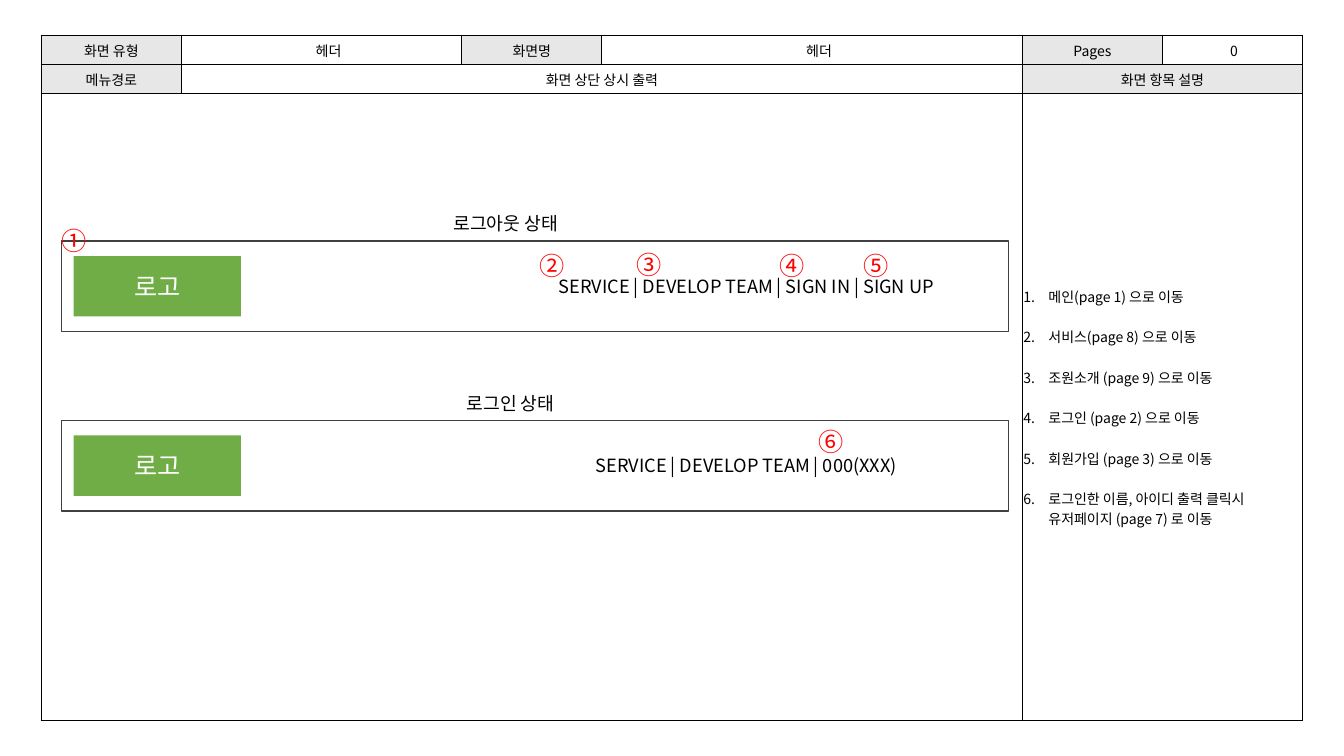
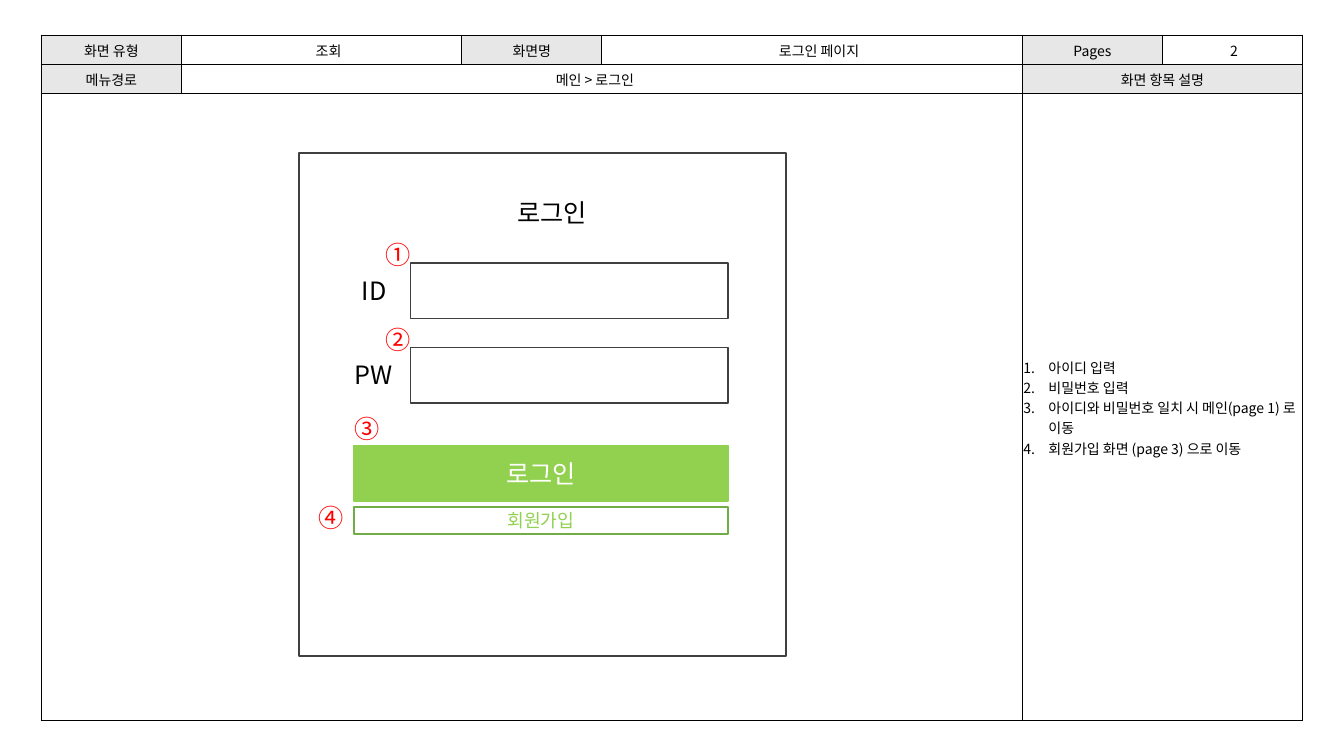
from lxml import etree
from pptx import Presentation
from pptx.dml.color import RGBColor
from pptx.enum.shapes import MSO_SHAPE
from pptx.enum.text import MSO_ANCHOR, MSO_AUTO_SIZE, PP_ALIGN
from pptx.oxml.ns import qn
from pptx.util import Inches, Pt

RECTANGLE = MSO_SHAPE.RECTANGLE
MIDDLE = MSO_ANCHOR.MIDDLE
FIT_TEXT = MSO_AUTO_SIZE.SHAPE_TO_FIT_TEXT
LEFT, CENTER = PP_ALIGN.LEFT, PP_ALIGN.CENTER

FONT = "Noto Sans CJK KR"
COLORS = {
    "black": "000000",
    "white": "FFFFFF",
    "label": "E7E7E7",
    "outline": "404040",
    "green": "70AD47",
    "lime": "92D050",
    "red": "FF0000",
}
COLUMN_WIDTHS = [1.39, 2.78, 1.39, 4.17, 1.39, 1.39]
ROW_HEIGHTS = [0.29, 0.29, 6.22]
BADGES = "①②③④⑤⑥"


def color(name):
    return RGBColor.from_string(COLORS[name])


def write_text(paragraph, text, size=18, color_name="black", align=LEFT):
    paragraph.alignment = align
    run = paragraph.add_run()
    run.text = text
    run.font.size = Pt(size)
    run.font.color.rgb = color(color_name)
    run.font.name = FONT
    properties = run.font._element
    etree.SubElement(properties, qn("a:ea"), typeface=FONT)


def add_label(slide, text, left, top, width, height=0.4, wrap=False, **text_format):
    label = slide.shapes.add_textbox(Inches(left), Inches(top), Inches(width), Inches(height))
    frame = label.text_frame
    frame.word_wrap = wrap
    frame.auto_size = FIT_TEXT
    write_text(frame.paragraphs[0], text, **text_format)


def add_badge(slide, number, left, top):
    add_label(slide, BADGES[number - 1], left, top, 0.45, color_name="red")


def add_box(slide, left, top, width, height, text="", fill=None, line=None,
            line_width=1, **text_format):
    box = slide.shapes.add_shape(
        RECTANGLE, Inches(left), Inches(top), Inches(width), Inches(height))
    box.shadow.inherit = False
    if fill:
        box.fill.solid()
        box.fill.fore_color.rgb = color(fill)
    else:
        box.fill.background()
    if line:
        box.line.color.rgb = color(line)
        box.line.width = Pt(line_width)
    else:
        box.line.fill.background()
    if text:
        box.text_frame.vertical_anchor = MIDDLE
        write_text(box.text_frame.paragraphs[0], text, align=CENTER, **text_format)


def add_borders(cell):
    properties = cell._tc.get_or_add_tcPr()
    for side in ("lnL", "lnR", "lnT", "lnB"):
        border = etree.SubElement(properties, qn(f"a:{side}"), w=str(Pt(1)))
        fill = etree.SubElement(border, qn("a:solidFill"))
        etree.SubElement(fill, qn("a:srgbClr"), val=COLORS["black"])


def format_cell(cell, fill):
    cell.vertical_anchor = MIDDLE
    cell.margin_left = cell.margin_right = cell.margin_top = Inches(0.01)
    cell.margin_bottom = 0
    cell.fill.solid()
    cell.fill.fore_color.rgb = color(fill)


def write_numbered_list(cell, items, gap):
    frame = cell.text_frame
    for index, item in enumerate(items):
        paragraph = frame.add_paragraph() if index else frame.paragraphs[0]
        write_text(paragraph, item, size=10)
        if index < len(items) - 1:
            paragraph.space_after = Pt(gap)
        properties = paragraph._p.get_or_add_pPr()
        properties.set("marL", str(Inches(0.25)))
        properties.set("indent", str(Inches(-0.25)))
        etree.SubElement(properties, qn("a:buFont"), typeface=FONT)
        etree.SubElement(properties, qn("a:buAutoNum"), type="arabicPeriod")


def add_specification(slide, kind, name, page, menu, items, gap=0):
    table = slide.shapes.add_table(
        len(ROW_HEIGHTS), len(COLUMN_WIDTHS), Inches(0.41), Inches(0.35),
        Inches(sum(COLUMN_WIDTHS)), Inches(sum(ROW_HEIGHTS))).table
    table.first_row = False
    table.horz_banding = False
    for column, width in zip(table.columns, COLUMN_WIDTHS):
        column.width = Inches(width)
    for row, height in zip(table.rows, ROW_HEIGHTS):
        row.height = Inches(height)
    for cell in table.iter_cells():
        add_borders(cell)
        format_cell(cell, "white")
    for row, first, last in ((1, 1, 3), (1, 4, 5), (2, 0, 3), (2, 4, 5)):
        table.cell(row, first).merge(table.cell(row, last))

    labels = {(0, 0): "화면 유형", (0, 2): "화면명", (0, 4): "Pages",
              (1, 0): "메뉴경로", (1, 4): "화면 항목 설명"}
    values = {(0, 1): kind, (0, 3): name, (0, 5): page, (1, 1): menu}
    for position, text in (labels | values).items():
        cell = table.cell(*position)
        write_text(cell.text_frame.paragraphs[0], text, size=10, align=CENTER)
        if position in labels:
            format_cell(cell, "label")
    write_numbered_list(table.cell(2, 4), items, gap)


def add_header_state(slide, top, caption, caption_left, caption_width, menu):
    add_box(slide, 0.61, top, 9.39, 0.9, line="outline")
    add_box(slide, 0.73, top + 0.15, 1.66, 0.6, "로고", fill="green", color_name="white")
    add_label(slide, menu, 5.06, top + 0.29, 4.72, 0.32, wrap=True, size=13, align=CENTER)
    add_label(slide, caption, caption_left, top - 0.33, caption_width, 0.32, size=13)


def add_field(slide, number, name, name_left, name_width, top):
    add_box(slide, 4.07, top, 3.15, 0.55, line="outline")
    add_label(slide, name, name_left, top + 0.07, name_width)
    add_badge(slide, number, 3.72, top - 0.28)


def build_header_slide(slide):
    add_specification(slide, "\u3000헤더", "\u3000헤더", " 0", "화면 상단 상시 출력", [
        "메인(page 1) 으로 이동",
        "서비스(page 8) 으로 이동",
        "조원소개 (page 9) 으로 이동",
        "로그인 (page 2) 으로 이동",
        "회원가입 (page 3) 으로 이동",
        "로그인한 이름, 아이디 출력 클릭시 유저페이지 (page 7) 로 이동",
    ], gap=14.5)
    add_header_state(slide, 2.39, "로그아웃 상태", 4.4, 1.36,
                     "SERVICE | DEVELOP TEAM | SIGN IN | SIGN UP ")
    add_header_state(slide, 4.17, "로그인 상태", 4.53, 1.18,
                     "SERVICE | DEVELOP TEAM | 000(XXX) ")
    badge_positions = [(0.51, 2.19), (5.25, 2.43), (6.21, 2.42),
                       (7.63, 2.43), (8.47, 2.43), (8.02, 4.18)]
    for number, (left, top) in enumerate(badge_positions, 1):
        add_badge(slide, number, left, top)


def build_login_slide(slide):
    add_specification(slide, "\u3000조회", "\u3000로그인 페이지", " 2", "메인 > 로그인\u3000", [
        "아이디 입력",
        "비밀번호 입력",
        "아이디와 비밀번호 일치 시 메인(page 1) 로 이동",
        "회원가입 화면 (page 3) 으로 이동",
    ])
    add_box(slide, 2.97, 1.52, 4.83, 4.99, line="outline", line_width=1.5)
    add_label(slide, "로그인", 3.72, 1.91, 3.51, wrap=True, align=CENTER)
    add_field(slide, 1, "ID", 3.49, 0.45, 2.61)
    add_field(slide, 2, "PW", 3.42, 0.59, 3.45)
    add_box(slide, 3.51, 4.42, 3.71, 0.55, "로그인", fill="lime", line="lime",
            color_name="white")
    add_box(slide, 3.51, 5.03, 3.71, 0.27, "회원가입", line="green", size=13,
            color_name="lime")
    add_badge(slide, 3, 3.42, 4.05)
    add_badge(slide, 4, 3.06, 4.93)


def main():
    presentation = Presentation()
    presentation.slide_width = Inches(13.33)
    presentation.slide_height = Inches(7.5)
    blank_layout = presentation.slide_layouts[6]
    for build_slide in (build_header_slide, build_login_slide):
        build_slide(presentation.slides.add_slide(blank_layout))
    presentation.save("out.pptx")


main()
